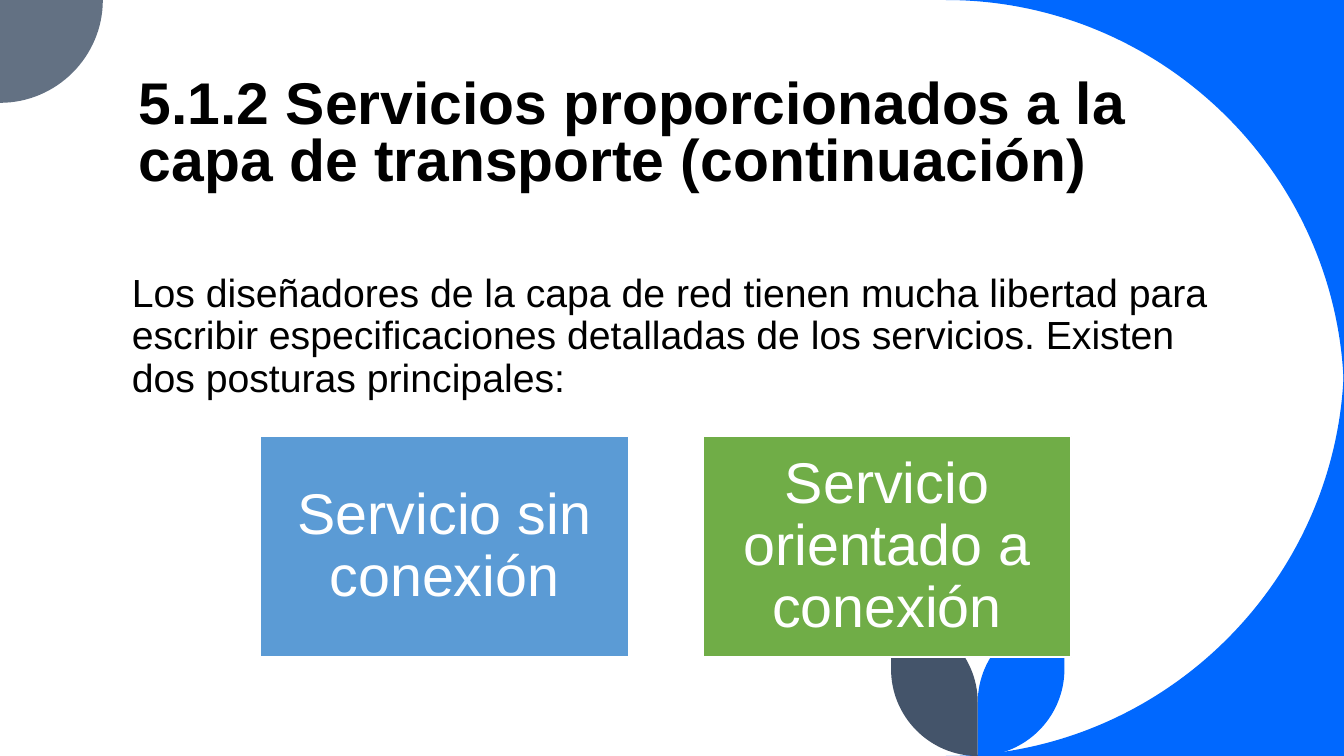
from lxml import etree
from pptx import Presentation
from pptx.dml.color import RGBColor
from pptx.enum.shapes import MSO_SHAPE
from pptx.enum.text import MSO_ANCHOR, PP_ALIGN
from pptx.oxml.ns import qn
from pptx.util import Inches, Pt

RECTANGLE = MSO_SHAPE.RECTANGLE
TOP, MIDDLE, BOTTOM = MSO_ANCHOR.TOP, MSO_ANCHOR.MIDDLE, MSO_ANCHOR.BOTTOM
LEFT, CENTER = PP_ALIGN.LEFT, PP_ALIGN.CENTER

# The slide is a grid of square cells, a tenth of an inch wide.
CELL = Inches(0.1)
COLUMNS, ROWS = 133.33, 75
FONT = "Arial"
COLORS = {
    "blue": "0068FF",
    "slate": "637183",
    "navy": "44546A",
    "sky": "5B9BD5",
    "green": "70AD47",
    "black": "000000",
    "white": "FFFFFF",
}
ROUNDNESS = 0.55  # handle length of a quarter circle, as a share of its radius
BIG_RADIUS = 39.5
SMALL_RADIUS = 10.2
LEAF_RADIUS = 8.6
LEAF_STEM, LEAF_TOP, LEAF_FORK = 97, 61.1, 69.7
SERVICES = [
    ("Servicio sin conexión", "sky"),
    ("Servicio orientado a conexión", "green"),
]
SERVICE_LEFT, SERVICE_TOP = 25.85, 43.3
SERVICE_WIDTH, SERVICE_HEIGHT = 36.5, 21.9
SERVICE_STEP = 43.9


def cells(*counts):
    return [round(count * CELL) for count in counts]


def color(name):
    return RGBColor.from_string(COLORS[name])


def quarter(start, corner, end):
    """Curve segment that rounds the corner between start and end."""
    handles = [tuple(p + ROUNDNESS * (c - p) for p, c in zip(point, corner)) for point in (start, end)]
    return [*handles, end]


def add_outline(page, start, segments, fill):
    """Closed outline; a segment of one point is a line, of three a curve."""
    builder = page.shapes.build_freeform(*cells(*start))
    points = [tuple(cells(*point)) for segment in segments for point in segment]
    builder.add_line_segments(points, close=True)
    shape = builder.convert_to_shape()
    lines = iter(list(shape.element.iter(qn("a:lnTo"))))
    for segment in segments:
        steps = [next(lines) for _ in segment]
        if len(steps) == 3:
            curve = etree.Element(qn("a:cubicBezTo"))
            steps[0].addprevious(curve)
            for step in steps:
                curve.append(step[0])
                step.getparent().remove(step)
    shape.shadow.inherit = False
    shape.fill.solid()
    shape.fill.fore_color.rgb = color(fill)
    shape.line.fill.background()


def add_corner(page, tip, start, bend, end, fill):
    """Slide corner whose inner edge is a quarter circle."""
    add_outline(page, tip, [[start], quarter(start, bend, end)], fill)


def add_leaf(page, side, fill):
    """Leaf growing from the stem; side is 1 for right and -1 for left."""
    edge = LEAF_STEM + side * LEAF_RADIUS
    tip, shoulder = (edge, LEAF_TOP), (edge, ROWS - LEAF_RADIUS)
    foot, fork = (LEAF_STEM, ROWS), (LEAF_STEM, LEAF_FORK)
    segments = [
        [shoulder],
        quarter(shoulder, (edge, ROWS), foot),
        [fork],
        quarter(fork, (LEAF_STEM, LEAF_TOP), tip),
    ]
    add_outline(page, tip, segments, fill)


def add_decoration(page):
    inner = COLUMNS - BIG_RADIUS
    for edge, reach in ((0, BIG_RADIUS), (ROWS, ROWS - BIG_RADIUS)):
        tip = (COLUMNS, edge)
        add_corner(page, tip, (inner, edge), tip, (COLUMNS, reach), "blue")
    add_corner(page, (0, 0), (SMALL_RADIUS, 0), (SMALL_RADIUS, SMALL_RADIUS), (0, SMALL_RADIUS), "slate")
    add_leaf(page, 1, "blue")
    add_leaf(page, -1, "navy")


def write(box, text, size, ink="black", bold=False, spacing=0.9, anchor=TOP, align=LEFT):
    frame = box.text_frame
    frame.word_wrap = True
    frame.vertical_anchor = anchor
    para = frame.paragraphs[0]
    para.alignment = align
    para.line_spacing = spacing
    span = para.add_run()
    span.text = text
    span.font.name = FONT
    span.font.size = Pt(size)
    span.font.bold = bold
    span.font.color.rgb = color(ink)


def add_text(page, place, text, **style):
    write(page.shapes.add_textbox(*cells(*place)), text, **style)


def add_service(page, index, text, fill):
    left = SERVICE_LEFT + index * SERVICE_STEP
    box = page.shapes.add_shape(RECTANGLE, *cells(left, SERVICE_TOP, SERVICE_WIDTH, SERVICE_HEIGHT))
    box.shadow.inherit = False
    box.fill.solid()
    box.fill.fore_color.rgb = color(fill)
    box.line.color.rgb = color("white")
    box.line.width = Pt(1)
    frame = box.text_frame
    inset = cells(1.7)[0]
    frame.margin_left = frame.margin_right = inset
    frame.margin_top = frame.margin_bottom = inset
    write(box, text, size=41, ink="white", anchor=MIDDLE, align=CENTER)


def main():
    deck = Presentation()
    deck.slide_width, deck.slide_height = cells(COLUMNS, ROWS)
    page = deck.slides.add_slide(deck.slide_layouts[6])
    add_decoration(page)
    add_text(
        page, (12.8, 1.5, 105, 18.1),
        "5.1.2 Servicios proporcionados a la capa de transporte (continuación)",
        size=42, bold=True, spacing=0.8, anchor=BOTTOM,
    )
    add_text(
        page, (12.1, 26.65, 109.2, 36.4),
        "Los diseñadores de la capa de red tienen mucha libertad para escribir "
        "especificaciones detalladas de los servicios. Existen dos posturas principales:",
        size=28,
    )
    for index, (text, fill) in enumerate(SERVICES):
        add_service(page, index, text, fill)
    deck.save("out.pptx")


if __name__ == "__main__":
    main()
